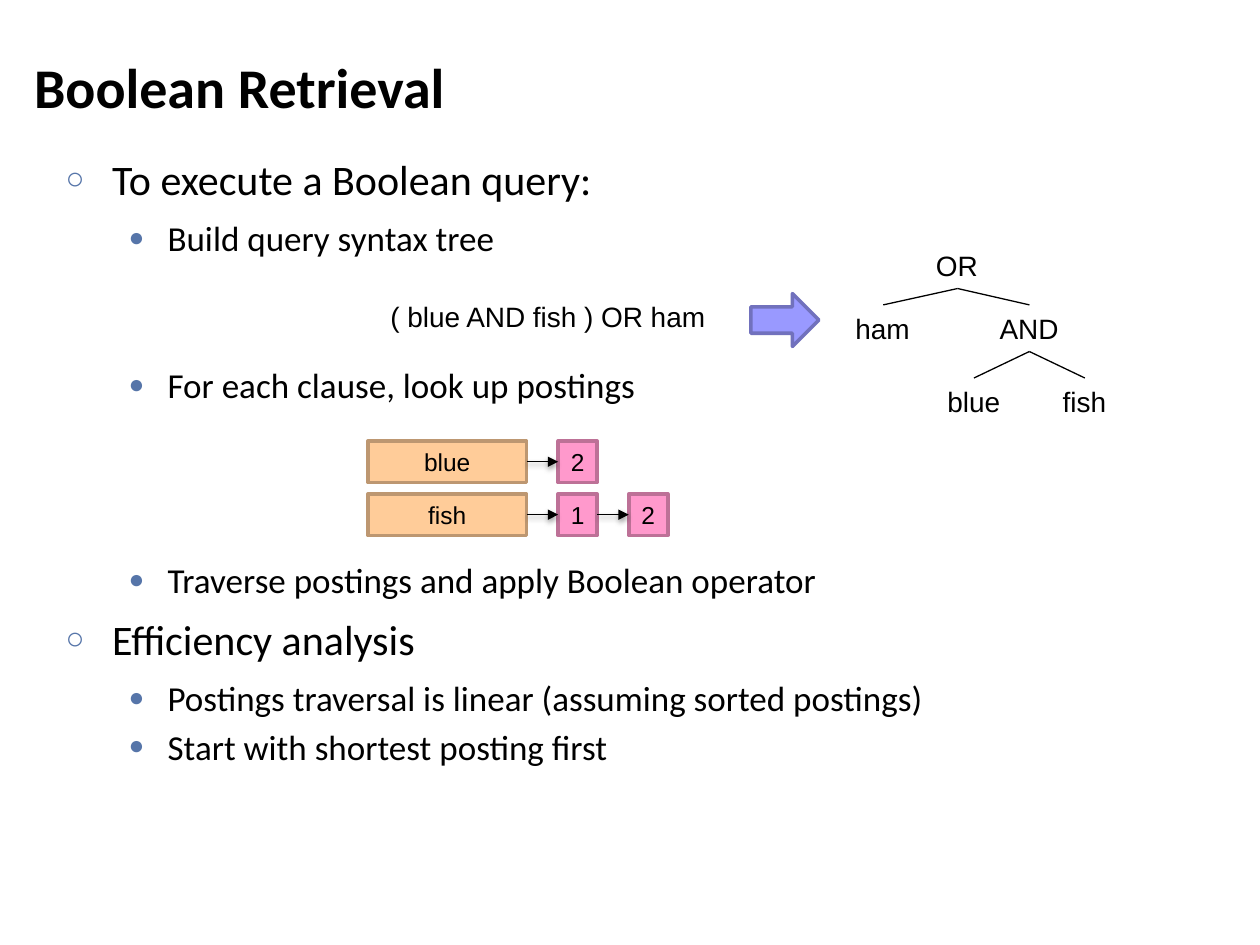
from dataclasses import dataclass

from lxml import etree
from pptx import Presentation
from pptx.dml.color import RGBColor
from pptx.enum.shapes import MSO_CONNECTOR, MSO_SHAPE
from pptx.enum.text import MSO_ANCHOR, MSO_AUTO_SIZE, PP_ALIGN
from pptx.oxml.ns import qn
from pptx.util import Inches, Pt

STRAIGHT = MSO_CONNECTOR.STRAIGHT
RECTANGLE = MSO_SHAPE.RECTANGLE
RIGHT_ARROW = MSO_SHAPE.RIGHT_ARROW
MIDDLE = MSO_ANCHOR.MIDDLE
TOP = MSO_ANCHOR.TOP
NO_AUTOFIT = MSO_AUTO_SIZE.NONE
LEFT = PP_ALIGN.LEFT
CENTER = PP_ALIGN.CENTER

BLACK = "000000"
BULLET_COLOR = "5675A9"
LABEL_HEIGHT = 0.37

# Postings grid, in inches
GRID_TOP, ROW_STEP, CELL_HEIGHT = 3.5, 0.42, 0.33
TERM_LEFT, TERM_WIDTH = 2.92, 1.26
POSTING_WIDTH, ARROW_LENGTH = 0.31, 0.25


@dataclass
class BulletLevel:
    symbol: str
    size: float
    spacing: float
    margin: float
    hanging: float


@dataclass
class Bullet:
    text: str
    level: int
    rows_above: int = 0


@dataclass
class TreeNode:
    text: str
    center: float
    top: float
    width: float
    children: tuple = ()


@dataclass
class PostingList:
    term: str
    documents: tuple


LEVELS = (
    BulletLevel("○", 24, 5.5, 0.37, 0.37),
    BulletLevel("●", 20, 1.8, 0.81, 0.31),
)
ROW_HEIGHT = 28  # points taken by one second-level line

BULLETS = (
    Bullet("To execute a Boolean query:", 0),
    Bullet("Build query syntax tree", 1),
    Bullet("For each clause, look up postings", 1, rows_above=2),
    Bullet("Traverse postings and apply Boolean operator", 1, rows_above=3),
    Bullet("Efficiency analysis", 0),
    Bullet("Postings traversal is linear (assuming sorted postings)", 1),
    Bullet("Start with shortest posting first", 1),
)

SYNTAX_TREE = TreeNode("OR", 7.6, 1.92, 0.54, (
    TreeNode("ham", 7.01, 2.42, 0.64),
    TreeNode("AND", 8.17, 2.42, 0.67, (
        TreeNode("blue", 7.73, 3, 0.62),
        TreeNode("fish", 8.61, 3, 0.55),
    )),
))

POSTING_LISTS = (PostingList("blue", ("2",)), PostingList("fish", ("1", "2")))


def color(value: str) -> RGBColor:
    return RGBColor.from_string(value)


def add_run(paragraph, text: str, size: float, font: str, bold: bool = False) -> None:
    run = paragraph.add_run()
    run.text = text
    run.font.size = Pt(size)
    run.font.name = font
    run.font.bold = bold
    run.font.color.rgb = color(BLACK)


def place(shape, left: float, top: float, width: float, height: float) -> None:
    shape.left, shape.top = Inches(left), Inches(top)
    shape.width, shape.height = Inches(width), Inches(height)


def add_child(parent, tag: str, **attributes: str):
    return etree.SubElement(parent, qn(tag), attributes)


def fill_title(title) -> None:
    place(title, 0.17, 0.12, 9.5, 1.12)
    title.text_frame.vertical_anchor = MIDDLE
    title.text_frame.auto_size = NO_AUTOFIT
    paragraph = title.text_frame.paragraphs[0]
    paragraph.alignment = LEFT
    add_run(paragraph, "Boolean Retrieval", 32, "Calibri", bold=True)


def fill_body(body) -> None:
    place(body, 0.42, 1.17, 9.25, 5.58)
    frame = body.text_frame
    frame.auto_size = NO_AUTOFIT
    frame.vertical_anchor = TOP
    for index, bullet in enumerate(BULLETS):
        paragraph = frame.add_paragraph() if index else frame.paragraphs[0]
        level = LEVELS[bullet.level]
        paragraph.level = bullet.level
        paragraph.space_before = Pt(level.spacing + bullet.rows_above * ROW_HEIGHT)
        paragraph.space_after = Pt(level.spacing)
        add_run(paragraph, bullet.text, level.size, "Calibri")
        properties = paragraph._p.get_or_add_pPr()
        properties.set("marL", str(Inches(level.margin)))
        properties.set("indent", str(-Inches(level.hanging)))
        add_child(add_child(properties, "a:buClr"), "a:srgbClr", val=BULLET_COLOR)
        add_child(properties, "a:buSzPct", val="75000")
        add_child(properties, "a:buFont", typeface="Arial")
        add_child(properties, "a:buChar", char=level.symbol)


def add_label(shapes, text: str, left: float, top: float, width: float) -> None:
    box = shapes.add_textbox(Inches(left), Inches(top), Inches(width), Inches(LABEL_HEIGHT))
    box.text_frame.word_wrap = False
    add_run(box.text_frame.paragraphs[0], text, 16, "Arial")


def add_block(shapes, kind, left: float, top: float, width: float, height: float,
              fill: str, outline: str):
    block = shapes.add_shape(kind, Inches(left), Inches(top), Inches(width), Inches(height))
    block.shadow.inherit = False
    block.fill.solid()
    block.fill.fore_color.rgb = color(fill)
    block.line.color.rgb = color(outline)
    block.line.width = Pt(2)
    return block


def add_line(shapes, start: tuple, end: tuple, arrow: bool = False) -> None:
    """Draw a thin line; an arrow also gets a head and a soft shadow."""
    points = [Inches(value) for value in (*start, *end)]
    line = shapes.add_connector(STRAIGHT, *points)
    line.line.color.rgb = color(BLACK)
    line.line.width = Pt(0.75)
    properties = line._element.spPr
    effects = add_child(properties, "a:effectLst")
    if arrow:
        add_child(properties.find(qn("a:ln")), "a:tailEnd", type="triangle")
        shadow = add_child(effects, "a:outerShdw", blurRad=str(Pt(3.1)),
                           dist=str(Pt(1.6)), dir="5400000", rotWithShape="0")
        add_child(add_child(shadow, "a:srgbClr", val=BLACK), "a:alpha", val="38000")


def draw_tree(shapes, node: TreeNode) -> None:
    add_label(shapes, node.text, node.center - node.width / 2, node.top, node.width)
    for child in node.children:
        add_line(shapes, (node.center, node.top + LABEL_HEIGHT), (child.center, child.top))
        draw_tree(shapes, child)


def add_cell(shapes, text: str, left: float, top: float, width: float,
             fill: str, outline: str) -> None:
    cell = add_block(shapes, RECTANGLE, left, top, width, CELL_HEIGHT, fill, outline)
    frame = cell.text_frame
    frame.word_wrap = False
    frame.vertical_anchor = MIDDLE
    frame.paragraphs[0].alignment = CENTER
    add_run(frame.paragraphs[0], text, 14, "Arial")


def draw_postings(shapes, postings: PostingList, row: int) -> None:
    top = GRID_TOP + row * ROW_STEP
    middle = top + CELL_HEIGHT / 2
    add_cell(shapes, postings.term, TERM_LEFT, top, TERM_WIDTH, "FFCC99", "BD9771")
    right = TERM_LEFT + TERM_WIDTH
    for document in postings.documents:
        left = right + ARROW_LENGTH
        add_cell(shapes, document, left, top, POSTING_WIDTH, "FF99CC", "BD7197")
        add_line(shapes, (right, middle), (left, middle), arrow=True)
        right = left + POSTING_WIDTH


def main() -> None:
    presentation = Presentation()
    presentation.slide_width, presentation.slide_height = Inches(10), Inches(7.5)
    slide = presentation.slides.add_slide(presentation.slide_layouts[1])
    fill_title(slide.shapes.title)
    fill_body(slide.placeholders[1])
    add_label(slide.shapes, "( blue AND fish ) OR ham", 3, 2.33, 2.73)
    draw_tree(slide.shapes.add_group_shape().shapes, SYNTAX_TREE)
    add_block(slide.shapes, RIGHT_ARROW, 5.96, 2.33, 0.54, 0.42, "9999FF", "7171BD")
    posting_shapes = slide.shapes.add_group_shape().shapes
    for row, postings in enumerate(POSTING_LISTS):
        draw_postings(posting_shapes, postings, row)
    presentation.save("out.pptx")


if __name__ == "__main__":
    main()
